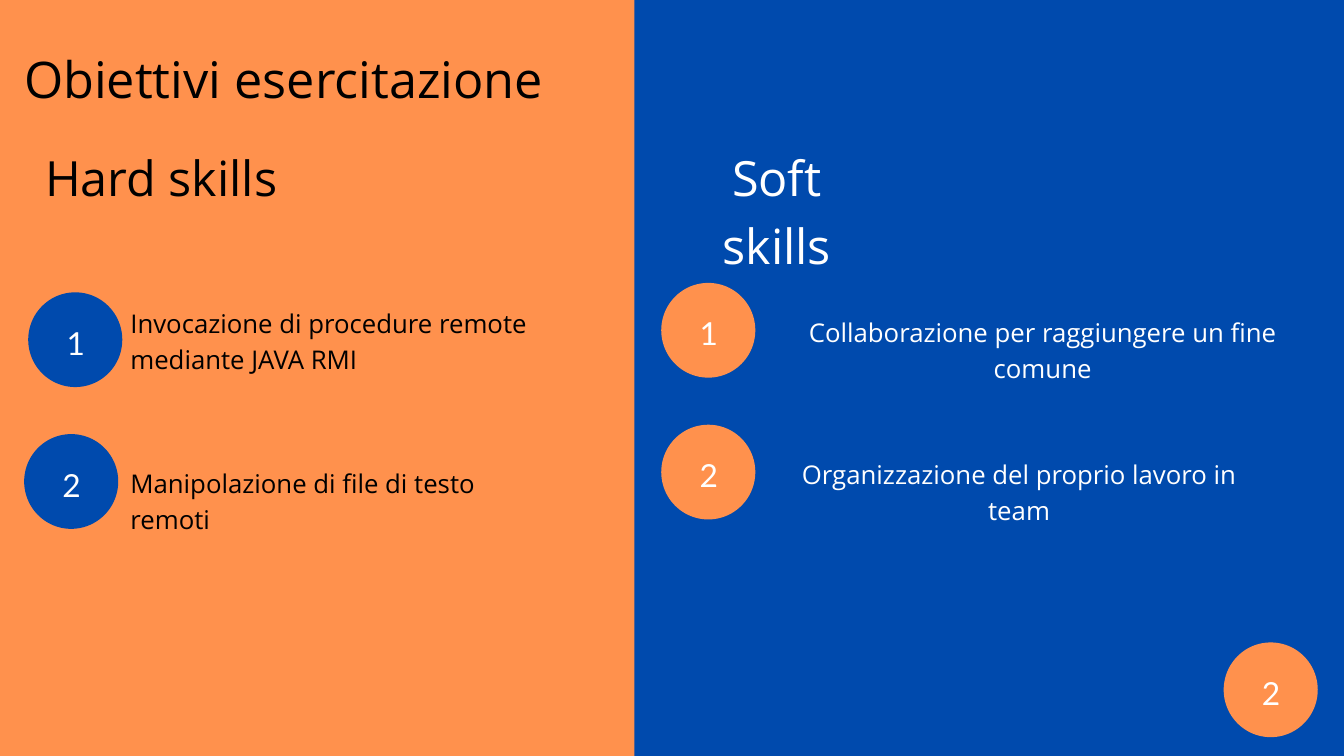
from dataclasses import dataclass

from pptx import Presentation
from pptx import util as u
from pptx.dml.color import RGBColor
from pptx.enum import shapes, text


@dataclass(frozen=True)
class Theme:
    orange: RGBColor = RGBColor(0xFF, 0x91, 0x4D)
    blue: RGBColor = RGBColor(0x00, 0x4A, 0xAD)
    black: RGBColor = RGBColor(0, 0, 0)
    white: RGBColor = RGBColor(0xFF, 0xFF, 0xFF)
    body_font: str = "Open Sans"
    number_font: str = "Lato"
    title_size: float = 54
    heading_size: float = 52
    number_size: float = 34
    item_size: float = 27.6
    leading: float = 1.4


THEME = Theme()
LEFT, CENTER = text.PP_ALIGN.LEFT, text.PP_ALIGN.CENTER
BADGE_WIDTH, BADGE_HEIGHT = 1.4, 1.41


def set_attributes(target, values):
    for name, value in values.items():
        setattr(target, name, value)


def box(left, top, width, height):
    return [u.Inches(length) for length in (left, top, width, height)]


def add_filled(parent, preset, place, color):
    area = parent.add_shape(preset, *box(*place))
    area.shadow.inherit = False
    area.fill.solid()
    area.fill.fore_color.rgb = color
    area.line.fill.background()


def add_label(parent, words, place, size, color, align=LEFT, font=THEME.body_font):
    frame = parent.add_textbox(*box(*place)).text_frame
    set_attributes(frame, {
        "margin_left": 0, "margin_right": 0, "margin_top": 0, "margin_bottom": 0,
        "word_wrap": True, "auto_size": text.MSO_AUTO_SIZE.SHAPE_TO_FIT_TEXT,
    })
    paragraph = frame.paragraphs[0]
    set_attributes(paragraph, {
        "alignment": align, "line_spacing": u.Pt(round(size * THEME.leading, 1)),
    })
    run = paragraph.add_run()
    run.text = words
    set_attributes(run.font, {"name": font, "size": u.Pt(size)})
    run.font.color.rgb = color


def add_badge(slide, number, left, top, color):
    badge = slide.shapes.add_group_shape().shapes
    add_filled(badge, shapes.MSO_SHAPE.OVAL,
               (left, top, BADGE_WIDTH, BADGE_HEIGHT), color)
    add_label(badge, number, (left + 0.57, top + 0.37, 0.27, 0.62),
              THEME.number_size, THEME.white, CENTER, THEME.number_font)


def main():
    deck = Presentation()
    set_attributes(deck, {"slide_width": u.Inches(20), "slide_height": u.Inches(11.25)})
    slide = deck.slides.add_slide(deck.slide_layouts[6])
    slide.background.fill.solid()
    slide.background.fill.fore_color.rgb = THEME.orange

    add_filled(slide.shapes, shapes.MSO_SHAPE.RECTANGLE,
               (9.44, 0, 10.56, 11.25), THEME.blue)
    add_badge(slide, "2", 18.21, 9.56, THEME.orange)

    add_label(slide.shapes, "Obiettivi esercitazione", (0.36, 0.56, 8.83, 1.01),
              THEME.title_size, THEME.black)
    headings = [
        ("Hard skills", 0.67, 3.46, THEME.black),
        ("Soft skills", 10, 3.12, THEME.white),
    ]
    for words, left, width, color in headings:
        add_label(slide.shapes, words, (left, 2.06, width, 0.96),
                  THEME.heading_size, color, CENTER)

    hard_skills = [
        ("1", (0.42, 4.35), "Invocazione di procedure remote mediante JAVA RMI",
         (1.94, 4.51, 7, 1.04)),
        ("2", (0.36, 6.46), "Manipolazione di file di testo remoti",
         (1.94, 6.88, 6.18, 0.51)),
    ]
    soft_skills = [
        ("1", (9.84, 4.21), "Collaborazione per raggiungere un fine comune",
         (11.41, 4.64, 8.21, 0.51)),
        ("2", (9.84, 6.32), "Organizzazione del proprio lavoro in team",
         (11.56, 6.75, 7.21, 0.51)),
    ]
    columns = [
        (hard_skills, THEME.blue, THEME.black, LEFT),
        (soft_skills, THEME.orange, THEME.white, CENTER),
    ]
    for skills, badge_color, words_color, align in columns:
        for number, corner, words, place in skills:
            add_badge(slide, number, *corner, badge_color)
            add_label(slide.shapes, words, place, THEME.item_size, words_color, align)

    deck.save("out.pptx")


if __name__ == "__main__":
    main()
